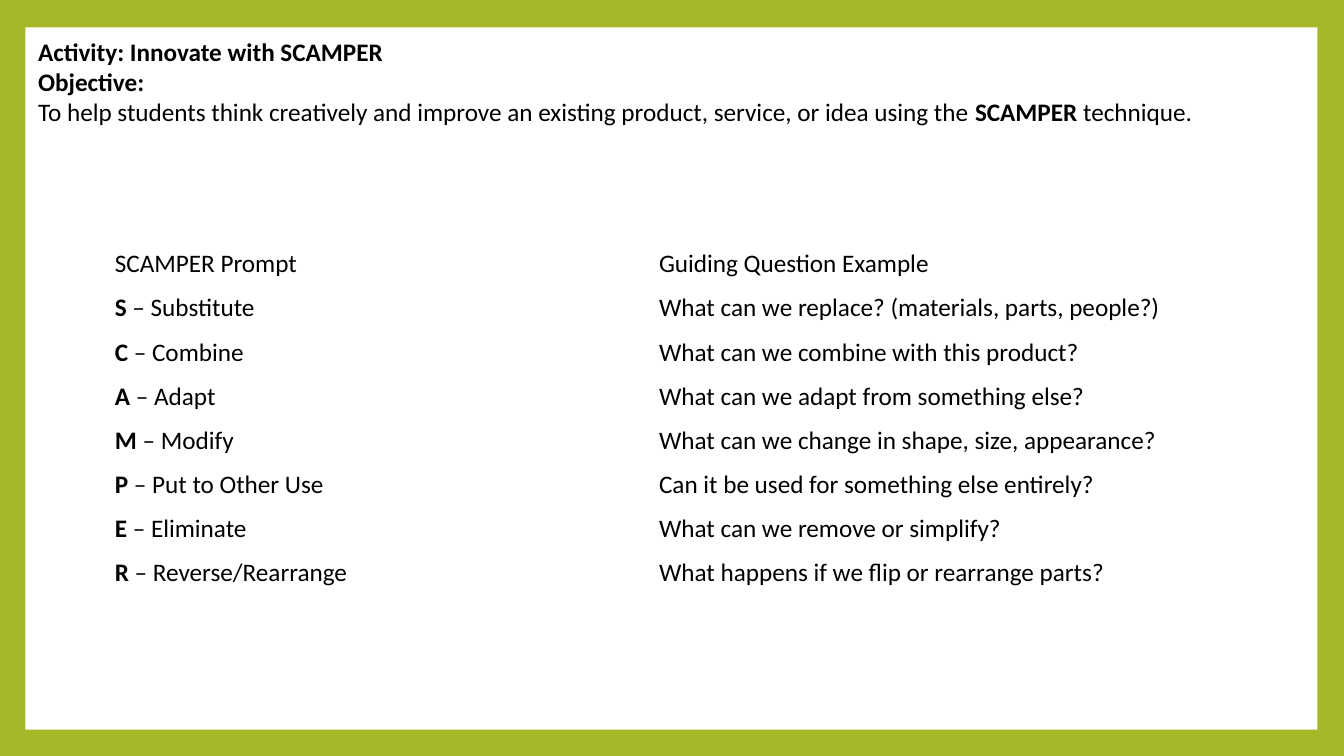
from pptx import Presentation
from pptx.dml.color import RGBColor
from pptx.enum.shapes import MSO_SHAPE as Shape
from pptx.enum.text import MSO_ANCHOR as Anchor, MSO_AUTO_SIZE as AutoSize
from pptx.util import Cm, Pt

COLORS = {"frame": "A6B727", "panel": "FFFFFF", "text": "000000"}
FONT = "Calibri"
SIZE = 18

PROMPTS = [
    ("Substitute", "What can we replace? (materials, parts, people?)"),
    ("Combine", "What can we combine with this product?"),
    ("Adapt", "What can we adapt from something else?"),
    ("Modify", "What can we change in shape, size, appearance?"),
    ("Put to Other Use", "Can it be used for something else entirely?"),
    ("Eliminate", "What can we remove or simplify?"),
    ("Reverse/Rearrange", "What happens if we flip or rearrange parts?"),
]


def color(name):
    return RGBColor.from_string(COLORS[name])


def style_paragraph(para):
    para.font.name = FONT
    para.font.size = Pt(SIZE)
    para.font.color.rgb = color("text")


def add_span(para, text, bold=False):
    span = para.add_run()
    span.text = text
    span.font.bold = bold


def add_panel(page, left, top, width, height):
    panel = page.shapes.add_shape(Shape.RECTANGLE, Cm(left), Cm(top), Cm(width), Cm(height))
    panel.shadow.inherit = False
    panel.fill.solid()
    panel.fill.fore_color.rgb = color("panel")
    panel.line.fill.background()


def add_intro(page, left, top, width, height):
    box = page.shapes.add_textbox(Cm(left), Cm(top), Cm(width), Cm(height))
    frame = box.text_frame
    frame.word_wrap = True
    frame.auto_size = AutoSize.SHAPE_TO_FIT_TEXT

    title = frame.paragraphs[0]
    style_paragraph(title)
    add_span(title, "Activity: Innovate with SCAMPER", bold=True)

    objective = frame.add_paragraph()
    style_paragraph(objective)
    add_span(objective, "Objective:", bold=True)
    objective.add_line_break()
    add_span(objective, "To help students think creatively and improve an existing "
                        "product, service, or idea using the ")
    add_span(objective, "SCAMPER", bold=True)
    add_span(objective, " technique.")


def fill_cell(cell, spans):
    cell.fill.background()
    cell.vertical_anchor = Anchor.MIDDLE
    para = cell.text_frame.paragraphs[0]
    style_paragraph(para)
    for text, bold in spans:
        add_span(para, text, bold)


def add_prompt_table(page, left, top, width, height):
    rows = [([("SCAMPER Prompt", False)], [("Guiding Question Example", False)])]
    for word, question in PROMPTS:
        rows.append(([(word[0], True), (f" – {word}", False)], [(question, False)]))

    table = page.shapes.add_table(len(rows), 2, Cm(left), Cm(top), Cm(width), Cm(height)).table
    table.first_row = False
    table.horz_banding = False
    for row, contents in enumerate(rows):
        for column, spans in enumerate(contents):
            fill_cell(table.cell(row, column), spans)


def main():
    deck = Presentation()
    deck.slide_width, deck.slide_height = Cm(33.87), Cm(19.05)
    page = deck.slides.add_slide(deck.slide_layouts[6])

    # Green frame around a white panel
    page.background.fill.solid()
    page.background.fill.fore_color.rgb = color("frame")
    add_panel(page, 0.64, 0.69, 32.56, 17.7)

    # Activity and objective
    add_intro(page, 0.71, 0.79, 32.21, 3.33)

    # Prompts and their questions
    add_prompt_table(page, 2.64, 6.1, 27.43, 8.9)

    deck.save("out.pptx")


if __name__ == "__main__":
    main()
